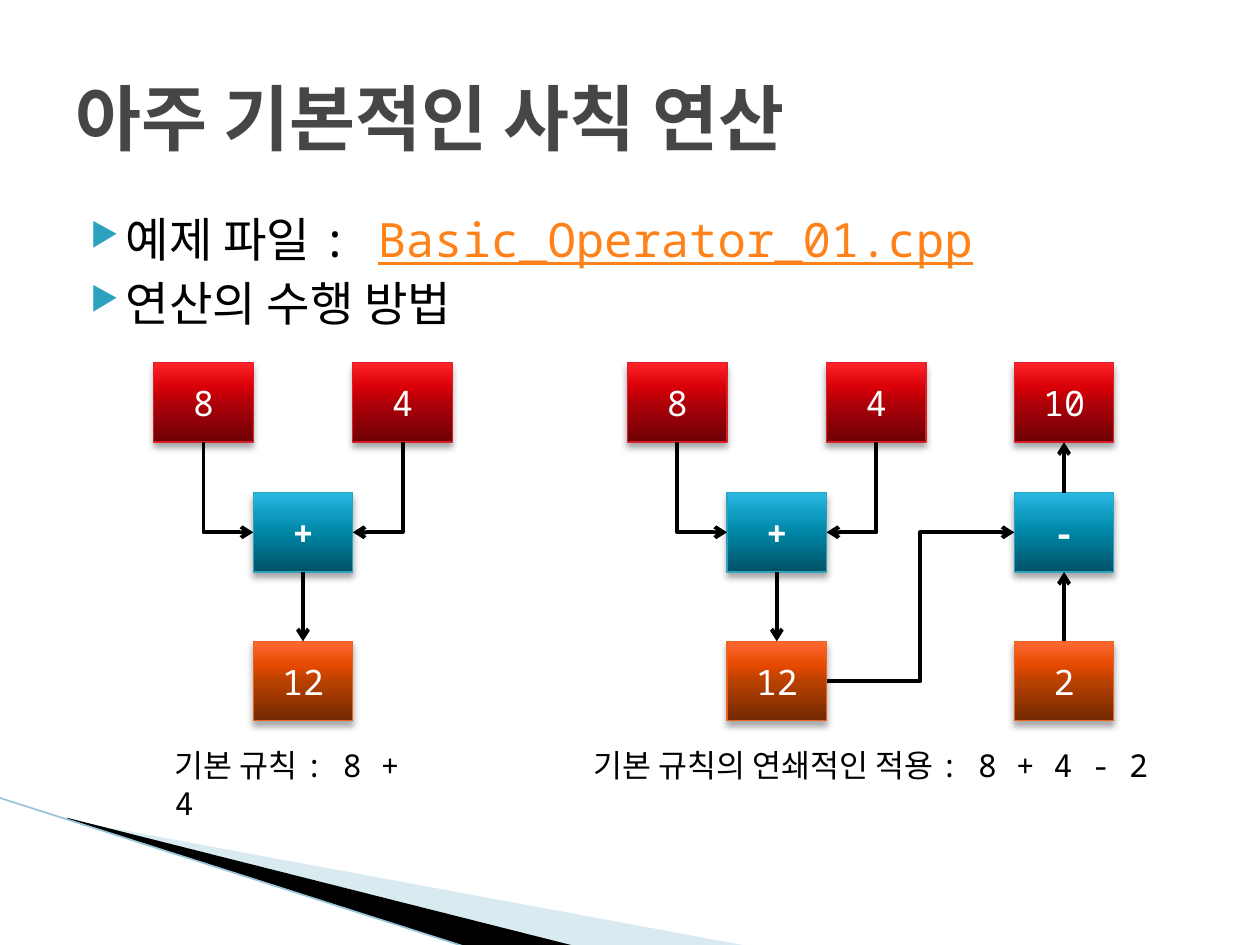
"""Build a slide on how basic arithmetic operations are carried out."""
import copy
import pptx
import pptx.util
import pptx.dml.color
import pptx.enum.shapes
import pptx.enum.text
import pptx.oxml
import pptx.oxml.ns

Inches, Pt, qn = pptx.util.Inches, pptx.util.Pt, pptx.oxml.ns.qn
RGB = pptx.dml.color.RGBColor.from_string
KIND = pptx.enum.shapes.MSO_CONNECTOR
SPACE = 'xmlns:a="http://schemas.openxmlformats.org/drawingml/2006/main"'
HUES = {"ink": "000000", "white": "FFFFFF", "title": "464646", "link": "FF8119",
        "mark": "2DA2BF", "wedge": "A0CBDC", "edge": "97C5D8"}
FILLS = {
    "red": ("DA1F28", ["6D0005", "B00008", "DA0008", "FF2429"]),
    "blue": ("2DA2BF", ["005367", "0086A7", "0E9ABE", "2CB9E3"]),
    "orange": ("EB641B", ["732800", "B94100", "E64900", "FF6933"]),
}
STYLES = {
    "title": {"size": Pt(41), "bold": True},
    "body": {"size": Pt(27)},
    "link": {"size": Pt(27), "underline": True},
    "box": {"size": Pt(20)},
    "sign": {"size": Pt(20), "bold": True},
    "note": {"size": Pt(18)},
}


def write(para, text, style, hue):
    run = para.add_run()
    run.text = text
    for key, value in {"name": "Noto Sans Mono", **STYLES[style]}.items():
        setattr(run.font, key, value)
    run.font.color.rgb = RGB(HUES[hue])


def link(kind, x1, y1, x2, y2, hue="ink", width=2.25, arrow=True):
    wire = slide.shapes.add_connector(kind, Inches(x1), Inches(y1), Inches(x2), Inches(y2))
    wire.line.color.rgb = RGB(HUES[hue])
    wire.line.width = Pt(width)
    if arrow:
        wire.line._get_or_add_ln().append(pptx.oxml.parse_xml(f'<a:tailEnd {SPACE} type="arrow"/>'))
    wire._element.spPr.append(pptx.oxml.parse_xml(f"<a:effectLst {SPACE}/>"))
    return wire


deck = pptx.Presentation()
deck.slide_width, deck.slide_height = Inches(10), Inches(7.5)
slide = deck.slides.add_slide(deck.slide_layouts[6])

wedges = [
    ("wedge", [(0.55, 6.51), (5.95, 7.51), (4.56, 7.51), (0.55, 6.5)]),
    ("ink", [(0.53, 6.49), (4.57, 7.51), (3.72, 7.52), (0.54, 6.5)]),
]
for hue, spots in wedges:
    spots = [(Inches(x), Inches(y)) for x, y in spots]
    path = slide.shapes.build_freeform(*spots[0])
    path.add_line_segments(spots[1:], close=True)
    wedge = path.convert_to_shape()
    wedge.shadow.inherit = False
    wedge.fill.solid()
    wedge.fill.fore_color.rgb = RGB(HUES[hue])
    wedge.line.fill.background()
    if hue == "wedge":
        tint = wedge._element.spPr.find(f".//{qn('a:srgbClr')}")
        tint.append(pptx.oxml.parse_xml(f'<a:alpha {SPACE} val="40000"/>'))
link(KIND.STRAIGHT, -0.01, 6.33, 3.71, 7.52, "edge", 0.95, False)

texts = [
    ((0.5, 0.3, 9, 1.25), [[("아주 기본적인 사칙 연산", "title", "title")]]),
    ((0.5, 1.62, 9, 4.95), [[("예제 파일 : ", "body", "ink"),
                             ("Basic_Operator_01.cpp", "link", "link")],
                            [("연산의 수행 방법", "body", "ink")]]),
    ((1.29, 5.87, 2.21, 0.4), [[("기본 규칙 : 8 + 4", "note", "ink")]]),
    ((4.61, 5.87, 4.61, 0.4), [[("기본 규칙의 연쇄적인 적용 : 8 + 4 - 2", "note", "ink")]]),
]
for place, lines in texts:
    frame = slide.shapes.add_textbox(*map(Inches, place)).text_frame
    frame.word_wrap = True
    for num, runs in enumerate(lines):
        para = frame.add_paragraph() if num else frame.paragraphs[0]
        for text, style, hue in runs:
            write(para, text, style, hue)
        if runs[0][1] == "title":
            frame.vertical_anchor = pptx.enum.text.MSO_ANCHOR.MIDDLE
        if runs[0][1] == "body":
            para.space_before = Pt(4)
            props = para._p.get_or_add_pPr()
            props.set("marL", str(Inches(0.4)))
            props.set("indent", str(Inches(-0.28)))
            for part in (f'<a:buClr {SPACE}><a:srgbClr val="{HUES["mark"]}"/></a:buClr>',
                         f'<a:buSzPct {SPACE} val="68000"/>',
                         f'<a:buChar {SPACE} char="▶"/>'):
                props.append(pptx.oxml.parse_xml(part))

wide, high = 0.79, 0.63
rows = {"top": 2.88, "mid": 3.91, "low": 5.09}
starts = [1.22, 4.98]
last = 8.05
items = [(last, "top", "10", "red"), (last, "mid", "-", "blue"), (last, "low", "2", "orange")]
for left in starts:
    items += [(left, "top", "8", "red"), (left + 2 * wide, "top", "4", "red"),
              (left + wide, "mid", "+", "blue"), (left + wide, "low", "12", "orange")]
boxes = {}
for left, row, text, tone in items:
    box = slide.shapes.add_shape(pptx.enum.shapes.MSO_SHAPE.RECTANGLE, Inches(left),
                                 Inches(rows[row]), Inches(wide), Inches(high))
    edge, tones = FILLS[tone]
    box.fill.gradient()
    box.fill.gradient_angle = 90
    stops = box._element.spPr.find(f".//{qn('a:gsLst')}")
    for stop in list(stops):
        stops.append(copy.deepcopy(stop))
    for stop, hue, spot in zip(box.fill.gradient_stops, tones, (0, 0.5, 0.7, 1)):
        stop.color.rgb = RGB(hue)
        stop.position = spot
    box.line.color.rgb = RGB(edge)
    box.line.width = Pt(0.75)
    box.shadow.inherit = False
    box._element.spPr.find(qn("a:effectLst")).append(pptx.oxml.parse_xml(
        f'<a:outerShdw {SPACE} blurRad="{Pt(4)}" dist="{Pt(3)}" dir="5400000" rotWithShape="0">'
        '<a:srgbClr val="000000"><a:alpha val="35000"/></a:srgbClr></a:outerShdw>'))
    box.text_frame.vertical_anchor = pptx.enum.text.MSO_ANCHOR.MIDDLE
    para = box.text_frame.paragraphs[0]
    para.alignment = pptx.enum.text.PP_ALIGN.CENTER
    write(para, text, "sign" if row == "mid" else "box", "white")
    boxes[left, row] = box

base, mid = rows["top"] + high, rows["mid"] + high / 2
drop = mid - base
joins = [((last, "low"), 0, (last, "mid"), 2), ((last, "mid"), 0, (last, "top"), 2)]
for left in starts:
    joins.append(((left + wide, "mid"), 2, (left + wide, "low"), 0))
    for turn, flip, centre in ((270, -1, left + 0.75 * wide), (90, 1, left + 2.25 * wide)):
        half, rise = flip * drop / 2, wide / 4
        level = (base + mid) / 2
        wire = link(KIND.ELBOW, centre - half, level - rise, centre + half, level + rise)
        wire._element.spPr.find(qn("a:xfrm")).set("rot", str(turn * 60000))
        wire._element.spPr.find(qn("a:prstGeom")).set("prst", "bentConnector2")
for start, out, end, into in joins:
    wire = link(KIND.STRAIGHT, 0, 0, 1, 1)
    wire.begin_connect(boxes[start], out)
    wire.end_connect(boxes[end], into)
link(KIND.ELBOW, starts[1] + 2 * wide, rows["low"] + high / 2, last, mid)

deck.save("out.pptx")
